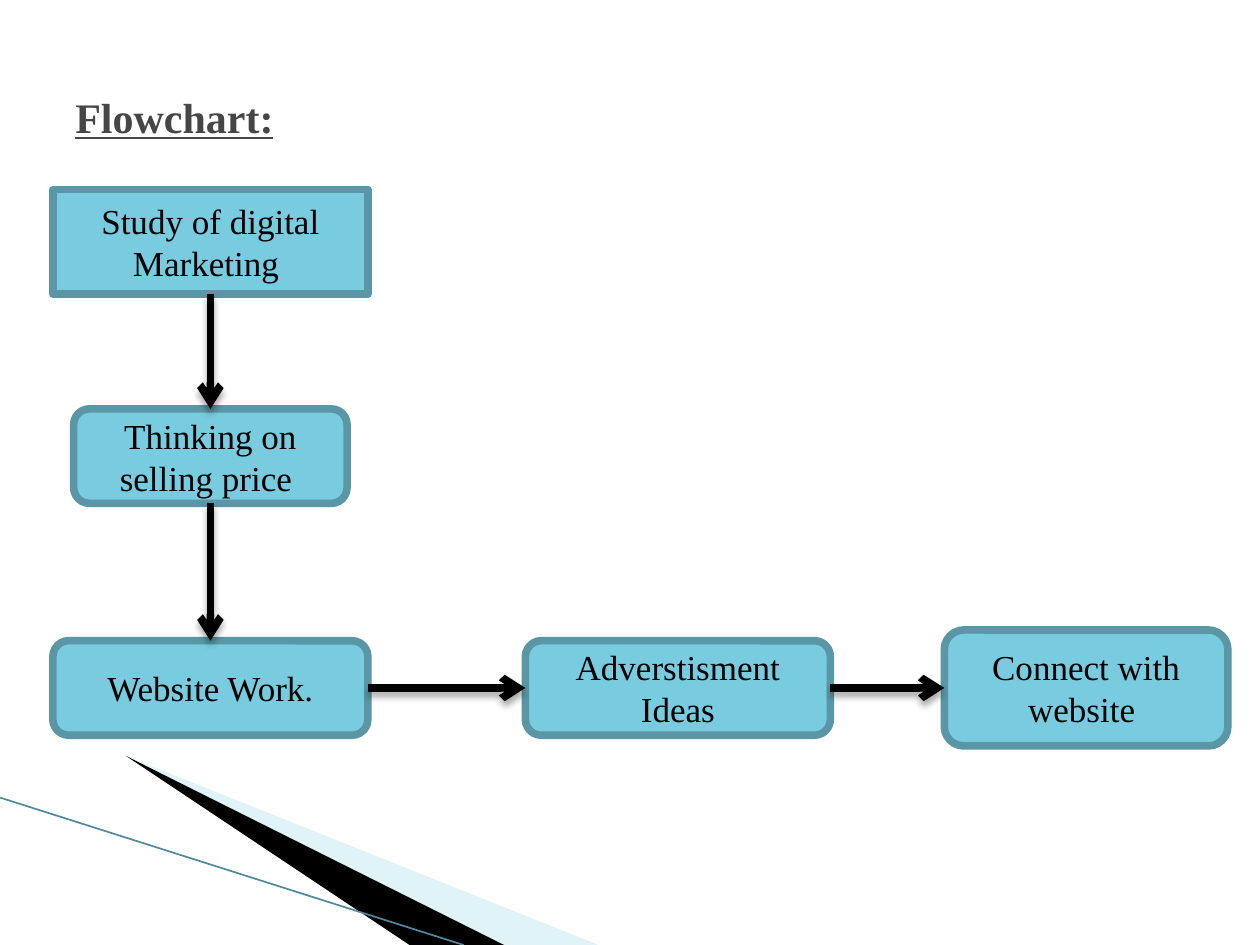
"""Build the digital marketing flowchart slide."""
from lxml.etree import SubElement
from pptx import Presentation
from pptx.dml.color import RGBColor
from pptx.enum.shapes import MSO_CONNECTOR, MSO_SHAPE
from pptx.enum.text import MSO_ANCHOR, PP_ALIGN
from pptx.oxml.ns import qn
from pptx.util import Inches, Pt

COLORS = {"box": "79CBDF", "edge": "5A96A5", "ink": "000000",
          "title": "464646", "pale": "B3E1EF", "rule": "4F8A9C"}
FONT = "Times New Roman"
LINE_WIDTH = 4.33
TOP, RIGHT, BOTTOM, LEFT = 0, 3, 2, 1
COLUMNS = (1.67, 5.38, 8.62)
ROWS = (1.92, 3.62, 5.46)

STEPS = [
    ("Study of digital Marketing ", 0, 0, 2.5, 0.83, MSO_SHAPE.RECTANGLE),
    ("Thinking on selling price ", 0, 1, 2.17, 0.75, MSO_SHAPE.ROUNDED_RECTANGLE),
    ("Website Work.", 0, 2, 2.5, 0.75, MSO_SHAPE.ROUNDED_RECTANGLE),
    ("Adverstisment Ideas", 1, 2, 2.42, 0.75, MSO_SHAPE.ROUNDED_RECTANGLE),
    ("Connect with website ", 2, 2, 2.25, 0.92, MSO_SHAPE.ROUNDED_RECTANGLE),
]
WEDGES = [
    ("pale", 40, [(0.55, 6.5), (5.92, 7.5), (4.56, 7.5)]),
    ("ink", 100, [(0.53, 6.49), (4.54, 7.5), (3.68, 7.5)]),
]


def rgb(name):
    return RGBColor.from_string(COLORS[name])


def write(sp, text, size=20, color="ink", align=PP_ALIGN.CENTER, bold=False, underline=False):
    tf = sp.text_frame
    tf.word_wrap = True
    tf.vertical_anchor = MSO_ANCHOR.MIDDLE
    p = tf.paragraphs[0]
    p.alignment = align
    r = p.add_run()
    r.text = text
    r.font.name, r.font.size = FONT, Pt(size)
    r.font.bold, r.font.underline = bold, underline
    r.font.color.rgb = rgb(color)


def add_wedge(s, color, opacity, points):
    builder = s.shapes.build_freeform(*points[0], scale=Inches(1))
    builder.add_line_segments(points[1:])
    sp = builder.convert_to_shape()
    sp.shadow.inherit = False
    sp.fill.solid()
    sp.fill.fore_color.rgb = rgb(color)
    sp.line.fill.background()
    if opacity < 100:
        clr = sp._element.spPr.find(qn("a:solidFill"))[0]
        SubElement(clr, qn("a:alpha"), val=str(opacity * 1000))


def add_step(s, text, col, row, width, height, kind):
    sp = s.shapes.add_shape(kind, Inches(COLUMNS[col] - width / 2),
                            Inches(ROWS[row] - height / 2), Inches(width), Inches(height))
    sp.shadow.inherit = False
    sp.fill.solid()
    sp.fill.fore_color.rgb = rgb("box")
    sp.line.color.rgb = rgb("edge")
    sp.line.width = Pt(LINE_WIDTH)
    write(sp, text)
    return sp


def add_line(s, color, width, ends=(0, 0, 0, 0)):
    line = s.shapes.add_connector(MSO_CONNECTOR.STRAIGHT, *map(Inches, ends))
    line.line.color.rgb = rgb(color)
    line.line.width = Pt(width)
    return line, SubElement(line._element.spPr, qn("a:effectLst"))


def add_arrow(s, start, end, vertical):
    line, effects = add_line(s, "ink", LINE_WIDTH)
    line.begin_connect(start, BOTTOM if vertical else RIGHT)
    line.end_connect(end, TOP if vertical else LEFT)
    SubElement(line.line._get_or_add_ln(), qn("a:tailEnd"), type="arrow")
    shadow = SubElement(effects, qn("a:outerShdw"), blurRad=str(Pt(4)), dist=str(Pt(3)),
                        dir="5400000", rotWithShape="0")
    clr = SubElement(shadow, qn("a:srgbClr"), val=COLORS["ink"])
    SubElement(clr, qn("a:alpha"), val="35000")


prs = Presentation()
prs.slide_width, prs.slide_height = Inches(10), Inches(7.5)
s = prs.slides.add_slide(prs.slide_layouts[6])

for wedge in WEDGES:
    add_wedge(s, *wedge)
add_line(s, "rule", 0.95, (0, 6.33, 3.68, 7.5))

title = s.shapes.add_textbox(Inches(0.5), Inches(0.3), Inches(9), Inches(1.25))
write(title, "Flowchart:", size=24, color="title", align=PP_ALIGN.LEFT, bold=True, underline=True)

boxes = [add_step(s, *step) for step in STEPS]
for i, (start, end) in enumerate(zip(boxes, boxes[1:])):
    add_arrow(s, start, end, vertical=STEPS[i][1] == STEPS[i + 1][1])

prs.save("out.pptx")
